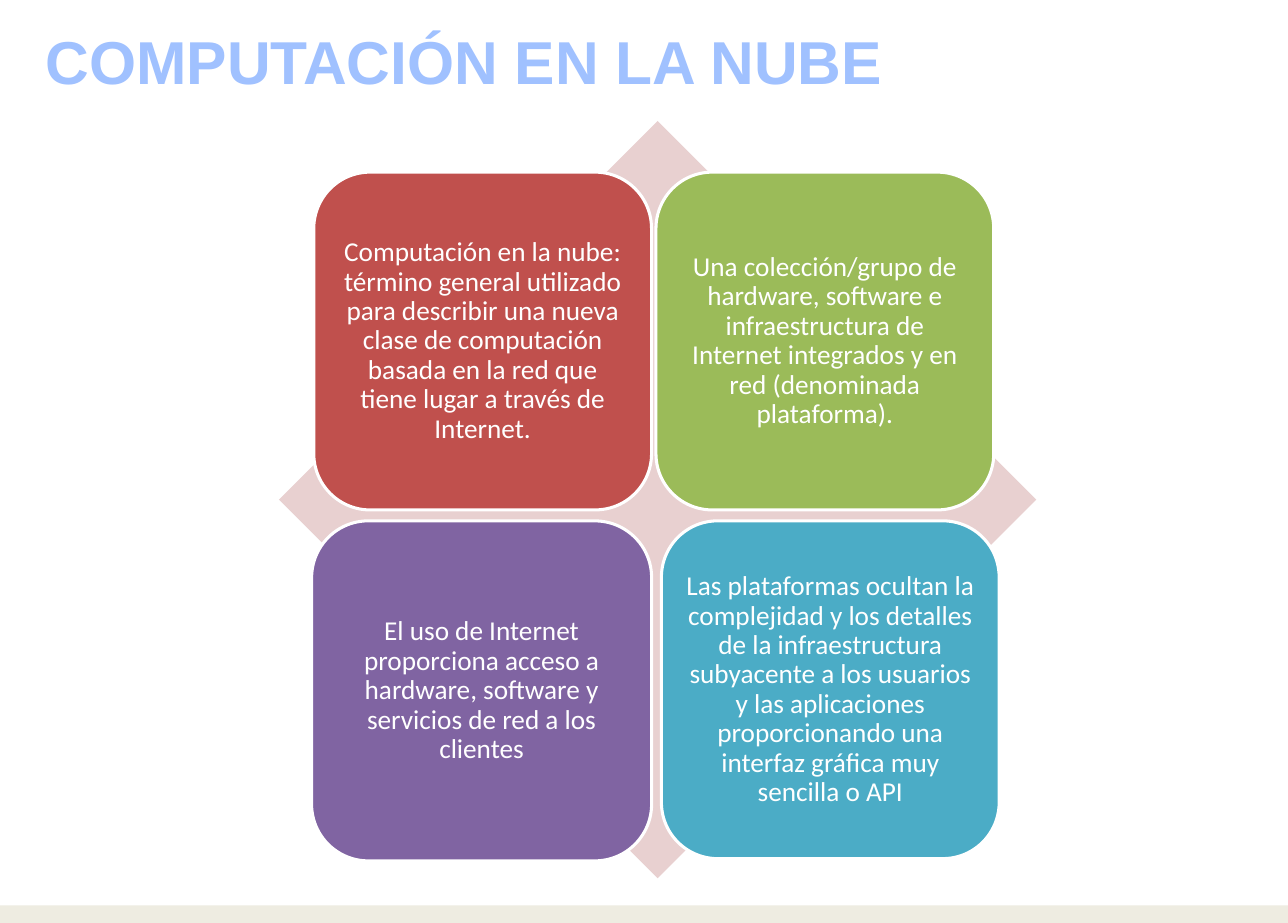
"""Build a slide on cloud computing: four cards laid over a diamond."""
from dataclasses import dataclass

from pptx import Presentation
from pptx.dml.color import RGBColor
from pptx.enum.shapes import MSO_SHAPE
from pptx.enum.text import MSO_ANCHOR, PP_ALIGN
from pptx.util import Inches, Pt


@dataclass(frozen=True)
class Theme:
    """Colours, fonts and type sizes."""
    title: str = "A0C1FF"
    band: str = "EEECE1"
    diamond: str = "E8D0D0"
    white: str = "FFFFFF"
    head_font: str = "Arial"
    body_font: str = "Calibri"
    head_size: int = 40
    body_size: int = 18
    edge: int = 2


TITLE = "COMPUTACIÓN EN LA NUBE"
CARDS = [
    ("Computación en la nube: término general utilizado para describir una nueva "
     "clase de computación basada en la red que tiene lugar a través de Internet.",
     "C0504D", (2.88, 1.58, 3.1)),
    ("Una colección/grupo de hardware, software e infraestructura de Internet "
     "integrados y en red (denominada plataforma).",
     "9BBB59", (6.02, 1.58, 3.1)),
    ("El uso de Internet proporciona acceso a hardware, software y servicios de "
     "red a los clientes",
     "8064A2", (2.86, 4.78, 3.12)),
    ("Las plataformas ocultan la complejidad y los detalles de la infraestructura "
     "subyacente a los usuarios y las aplicaciones proporcionando una interfaz "
     "gráfica muy sencilla o API",
     "4BACC6", (6.07, 4.78, 3.1)),
]
WIDTH, HEIGHT, BAND = 11.82, 8.47, 0.16
THEME = Theme()


def add_form(slide, kind, box, fill, edge=None):
    """Draw a filled preset shape, with a border if edge is given."""
    form = slide.shapes.add_shape(kind, *map(Inches, box))
    form.shadow.inherit = False
    form.fill.solid()
    form.fill.fore_color.rgb = RGBColor.from_string(fill)
    if edge:
        form.line.color.rgb = RGBColor.from_string(edge)
        form.line.width = Pt(THEME.edge)
    else:
        form.line.fill.background()
    return form


def put_text(frame, text, *, font, size, color, bold=False, wrap=True,
             anchor=MSO_ANCHOR.TOP, spacing=None, inset=None):
    """Write one centred paragraph into a text frame."""
    frame.word_wrap = wrap
    frame.vertical_anchor = anchor
    if inset is not None:
        frame.margin_left = frame.margin_right = Inches(inset)
        frame.margin_top = frame.margin_bottom = Inches(inset)
    para = frame.paragraphs[0]
    para.alignment = PP_ALIGN.CENTER
    para.line_spacing = spacing
    run = para.add_run()
    run.text = text
    run.font.name = font
    run.font.size = Pt(size)
    run.font.bold = bold
    run.font.color.rgb = RGBColor.from_string(color)


def main():
    """Lay out the slide and save it."""
    deck = Presentation()
    deck.slide_width, deck.slide_height = Inches(WIDTH), Inches(HEIGHT)
    slide = deck.slides.add_slide(deck.slide_layouts[6])

    add_form(slide, MSO_SHAPE.RECTANGLE, (0, HEIGHT - BAND, WIDTH, BAND), THEME.band)
    add_form(slide, MSO_SHAPE.DIAMOND, (2.56, 1.11, 6.95, 6.95), THEME.diamond)
    for text, fill, (left, top, side) in CARDS:
        card = add_form(slide, MSO_SHAPE.ROUNDED_RECTANGLE,
                        (left, top, side, side), fill, THEME.white)
        put_text(card.text_frame, text, font=THEME.body_font, size=THEME.body_size,
                 color=THEME.white, anchor=MSO_ANCHOR.MIDDLE, spacing=0.9, inset=0.07)

    title = slide.shapes.add_textbox(*map(Inches, (0.28, 0.17, 7.96, 0.77)))
    put_text(title.text_frame, TITLE, font=THEME.head_font, size=THEME.head_size,
             color=THEME.title, bold=True, wrap=False)
    deck.save("out.pptx")


if __name__ == "__main__":
    main()
